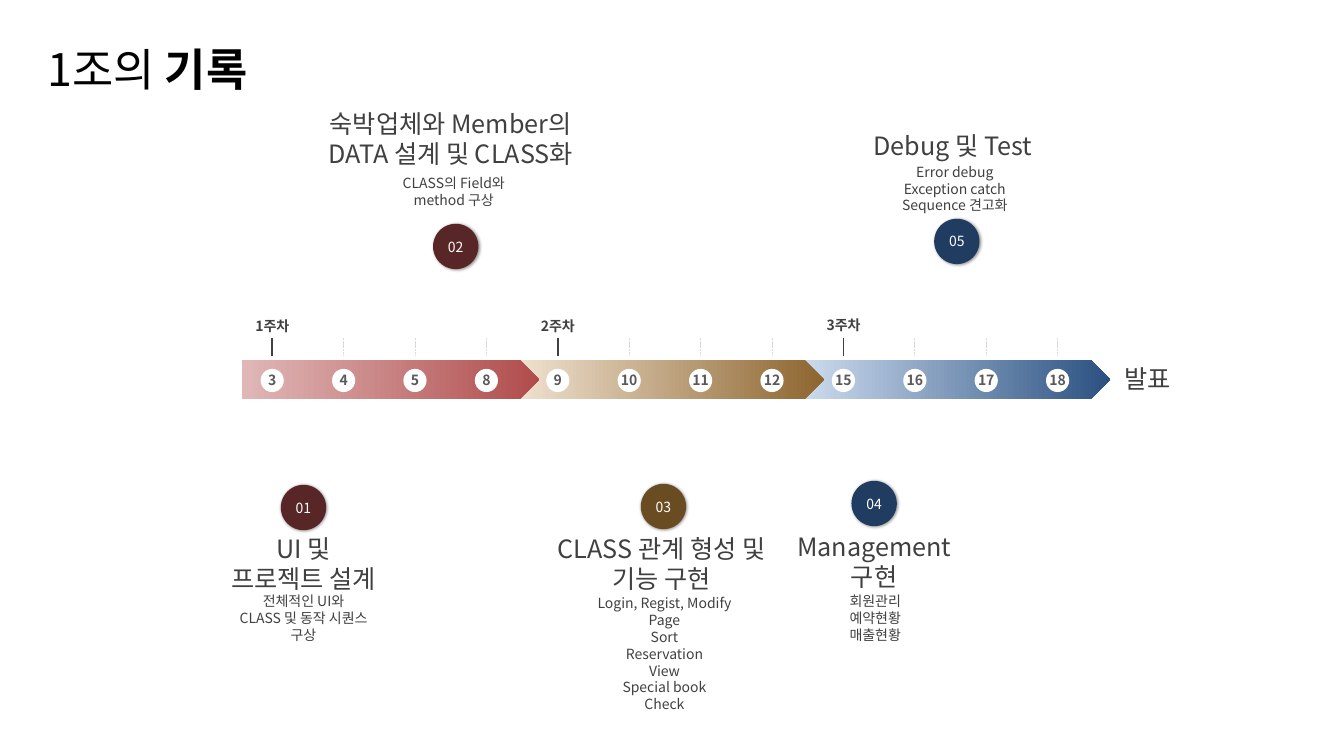
from lxml.etree import SubElement
from pptx import Presentation
from pptx.dml.color import RGBColor
from pptx.enum.dml import MSO_LINE
from pptx.enum.shapes import MSO_CONNECTOR, MSO_SHAPE
from pptx.enum.text import MSO_ANCHOR, PP_ALIGN
from pptx.oxml.ns import qn
from pptx.util import Inches, Pt

FONT = "Noto Sans CJK KR"
BLACK = RGBColor(0x00, 0x00, 0x00)
WHITE = RGBColor(0xFF, 0xFF, 0xFF)
DARK = RGBColor(0x40, 0x40, 0x40)
GRAY = RGBColor(0x59, 0x59, 0x59)
LIGHT = RGBColor(0xD9, 0xD9, 0xD9)
MAROON = RGBColor(0x58, 0x26, 0x26)
BROWN = RGBColor(0x6A, 0x4C, 0x23)
NAVY = RGBColor(0x20, 0x3D, 0x61)

TITLE = ("1조의 ", "기록")
FINISH = "발표"

# label, label top, days, arrow left, arrow width, gradient start, gradient end
WEEKS = [
    ("1주차", 3.15, (3, 4, 5, 8), 2.40, 2.95,
     RGBColor(0xE0, 0xB7, 0xB7), RGBColor(0xB0, 0x4C, 0x4C)),
    ("2주차", 3.15, (9, 10, 11, 12), 5.15, 3.02,
     RGBColor(0xEF, 0xE1, 0xCF), RGBColor(0x8D, 0x65, 0x2F)),
    ("3주차", 3.14, (15, 16, 17, 18), 7.97, 3.04,
     RGBColor(0xCC, 0xDB, 0xEE), RGBColor(0x2B, 0x51, 0x81)),
]

# number, colour, badge (centre, top), heading (centre, top, width, height), lines,
# detail (centre, top, height), lines
MILESTONES = [
    ("01", MAROON, (3.01, 4.81), (3.01, 5.29, 1.81, 0.61), ["UI 및", "프로젝트 설계"],
     (3.01, 5.88, 0.50), ["전체적인 UI와", "CLASS 및 동작 시퀀스 구상"]),
    ("02", MAROON, (4.52, 2.22), (4.47, 1.07, 2.75, 0.61),
     ["숙박업체와 Member의 DATA 설계 및 CLASS화"],
     (4.50, 1.73, 0.34), ["CLASS의 Field와 method 구상"]),
    ("03", BROWN, (6.58, 4.80), (6.56, 5.29, 2.16, 0.61), ["CLASS 관계 형성 및 기능 구현"],
     (6.59, 5.90, 1.18), ["Login, Regist, Modify", "Page", "Sort", "Reservation",
                          "View", "Special book", "Check"]),
    ("04", NAVY, (8.67, 4.77), (8.67, 5.27, 1.81, 0.61), ["Management 구현"],
     (8.68, 5.88, 0.50), ["회원관리", "예약현황", "매출현황"]),
    ("05", NAVY, (9.49, 2.17), (9.45, 1.29, 1.83, 0.30), ["Debug 및 Test"],
     (9.47, 1.62, 0.50), ["Error debug", "Exception catch", "Sequence 견고화"]),
]

FIRST_DAY_X, LAST_DAY_X = 2.70, 10.49
DAYS_PER_WEEK = len(WEEKS[0][2])
DAY_STEP = (LAST_DAY_X - FIRST_DAY_X) / (DAYS_PER_WEEK * len(WEEKS) - 1)
ARROW_TOP, ARROW_H = 3.57, 0.39
TICK_TOP, TICK_BOTTOM = 3.35, 3.53
DOT, BADGE, DETAIL_W = 0.23, 0.45, 1.42


def style_run(r, size, color, bold=False):
    r.font.name, r.font.size, r.font.bold = FONT, Pt(size), bold
    r.font.color.rgb = color
    SubElement(r.font._element, qn("a:ea"), typeface=FONT)


def fill_text(tf, lines, size, color, bold=False, anchor=MSO_ANCHOR.TOP):
    tf.margin_left = tf.margin_right = tf.margin_top = tf.margin_bottom = 0
    tf.word_wrap = True
    tf.vertical_anchor = anchor
    tf.text = "\n".join(lines)
    for p in tf.paragraphs:
        p.alignment = PP_ALIGN.CENTER
        for r in p.runs:
            style_run(r, size, color, bold)


def add_text(s, cx, top, width, height, lines, size, color=DARK, **options):
    """Add a text box centred on cx."""
    box = s.shapes.add_textbox(Inches(cx - width / 2), Inches(top),
                               Inches(width), Inches(height))
    fill_text(box.text_frame, lines, size, color, **options)


def add_circle(s, cx, top, size, color):
    sp = s.shapes.add_shape(MSO_SHAPE.OVAL, Inches(cx - size / 2), Inches(top),
                            Inches(size), Inches(size))
    sp.shadow.inherit = False
    sp.fill.solid()
    sp.fill.fore_color.rgb = color
    sp.line.fill.background()
    return sp


def add_badge(s, cx, top, number, color):
    sp = add_circle(s, cx, top, BADGE, color)
    fill_text(sp.text_frame, [number], 10, WHITE, anchor=MSO_ANCHOR.MIDDLE)
    effects = sp._element.spPr.find(qn("a:effectLst"))
    shadow = SubElement(effects, qn("a:outerShdw"), blurRad=str(Pt(2)), dist=str(Pt(1)),
                        dir="2700000", algn="tl", rotWithShape="0")
    black = SubElement(shadow, qn("a:srgbClr"), val="000000")
    SubElement(black, qn("a:alpha"), val="40000")


def add_arrow(s, left, width, start, end):
    sp = s.shapes.add_shape(MSO_SHAPE.RIGHT_ARROW, Inches(left), Inches(ARROW_TOP),
                            Inches(width), Inches(ARROW_H))
    sp.adjustments[0], sp.adjustments[1] = 1, 0.5
    sp.shadow.inherit = False
    sp.line.fill.background()
    sp.fill.gradient()
    sp.fill.gradient_angle = 0
    for stop, position, color in zip(sp.fill.gradient_stops, (0, 1), (start, end)):
        stop.position = position
        stop.color.rgb = color


def add_tick(s, x, starts_week):
    c = s.shapes.add_connector(MSO_CONNECTOR.STRAIGHT, Inches(x), Inches(TICK_TOP),
                               Inches(x), Inches(TICK_BOTTOM))
    c.line.color.rgb = DARK if starts_week else LIGHT
    c.line.width = Pt(1.25 if starts_week else 0.5)
    if not starts_week:
        c.line.dash_style = MSO_LINE.SQUARE_DOT
    SubElement(c._element.spPr, qn("a:effectLst"))


def add_title(s):
    tf = s.shapes.add_textbox(Inches(0.47), Inches(0.47), Inches(12.4),
                              Inches(0.59)).text_frame
    tf.margin_left = tf.margin_right = tf.margin_top = tf.margin_bottom = 0
    tf.word_wrap = True
    p = tf.paragraphs[0]
    p.line_spacing = 0.9
    for text, bold in zip(TITLE, (False, True)):
        r = p.add_run()
        r.text = text
        style_run(r, 32, BLACK, bold)


def add_week(s, index, week):
    label, label_top, days, left, width, start, end = week
    add_arrow(s, left, width, start, end)
    for i, day in enumerate(days):
        x = FIRST_DAY_X + (index * DAYS_PER_WEEK + i) * DAY_STEP
        if i == 0:
            add_text(s, x, label_top, 0.62, 0.26, [label], 10, bold=True)
        add_tick(s, x, i == 0)
        add_circle(s, x, 3.66, DOT, WHITE)
        add_text(s, x, 3.69, 0.31, 0.16, [str(day)], 10, GRAY, bold=True,
                 anchor=MSO_ANCHOR.MIDDLE)


def main():
    prs = Presentation()
    prs.slide_width, prs.slide_height = Inches(13.33), Inches(7.5)
    s = prs.slides.add_slide(prs.slide_layouts[6])
    add_title(s)
    for number, color, badge, heading, heading_lines, detail, detail_lines in MILESTONES:
        add_text(s, *heading, heading_lines, 18)
        cx, top, height = detail
        add_text(s, cx, top, DETAIL_W, height, detail_lines, 10)
        add_badge(s, *badge, number, color)
    # Each arrow tip overlaps the following week, so the last week goes first.
    for index, week in reversed(list(enumerate(WEEKS))):
        add_week(s, index, week)
    add_text(s, 11.38, 3.6, 0.79, 0.3, [FINISH], 18)
    prs.save("out.pptx")


if __name__ == "__main__":
    main()
